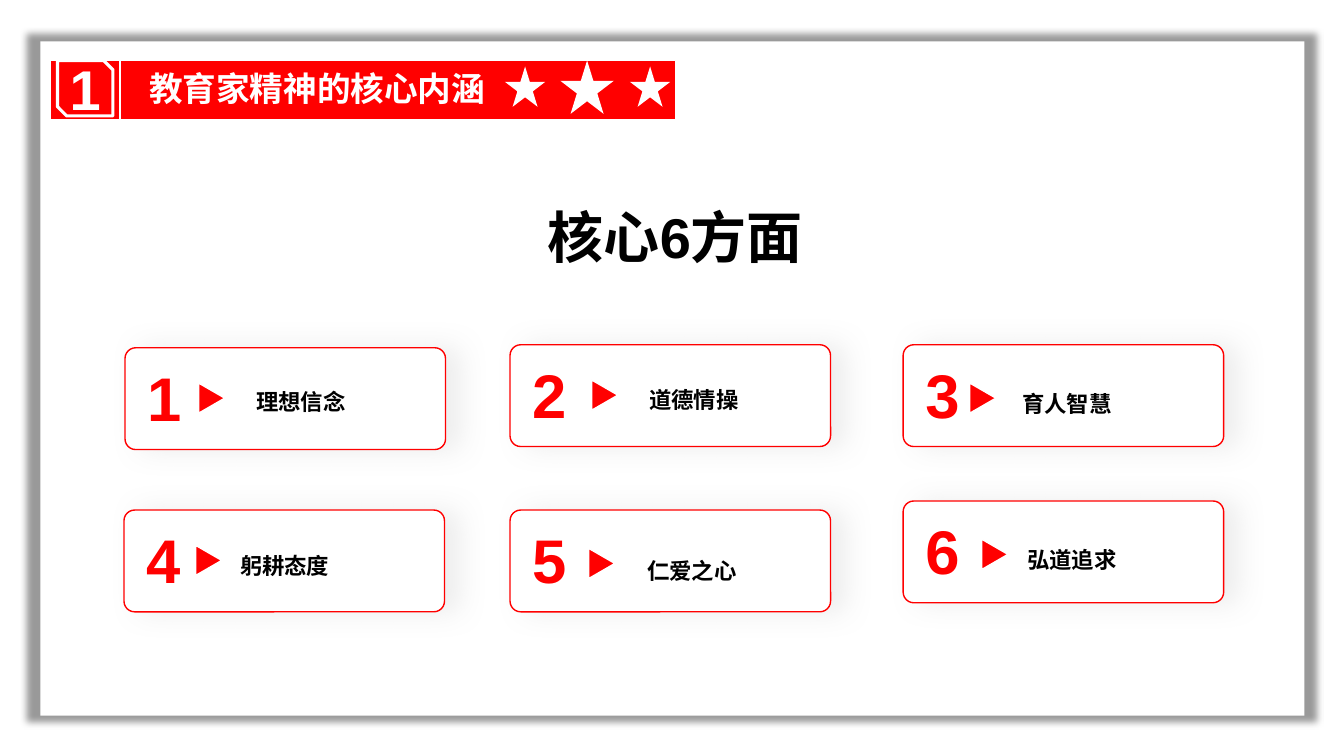
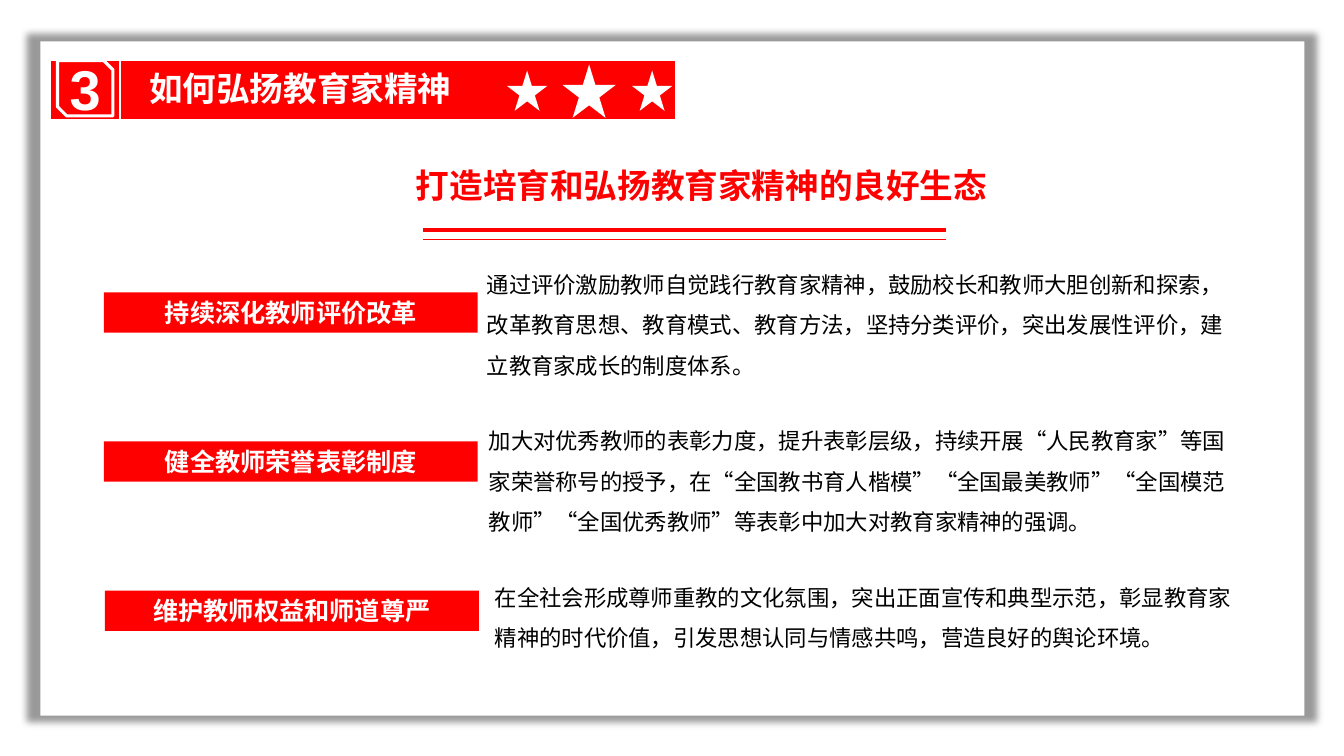
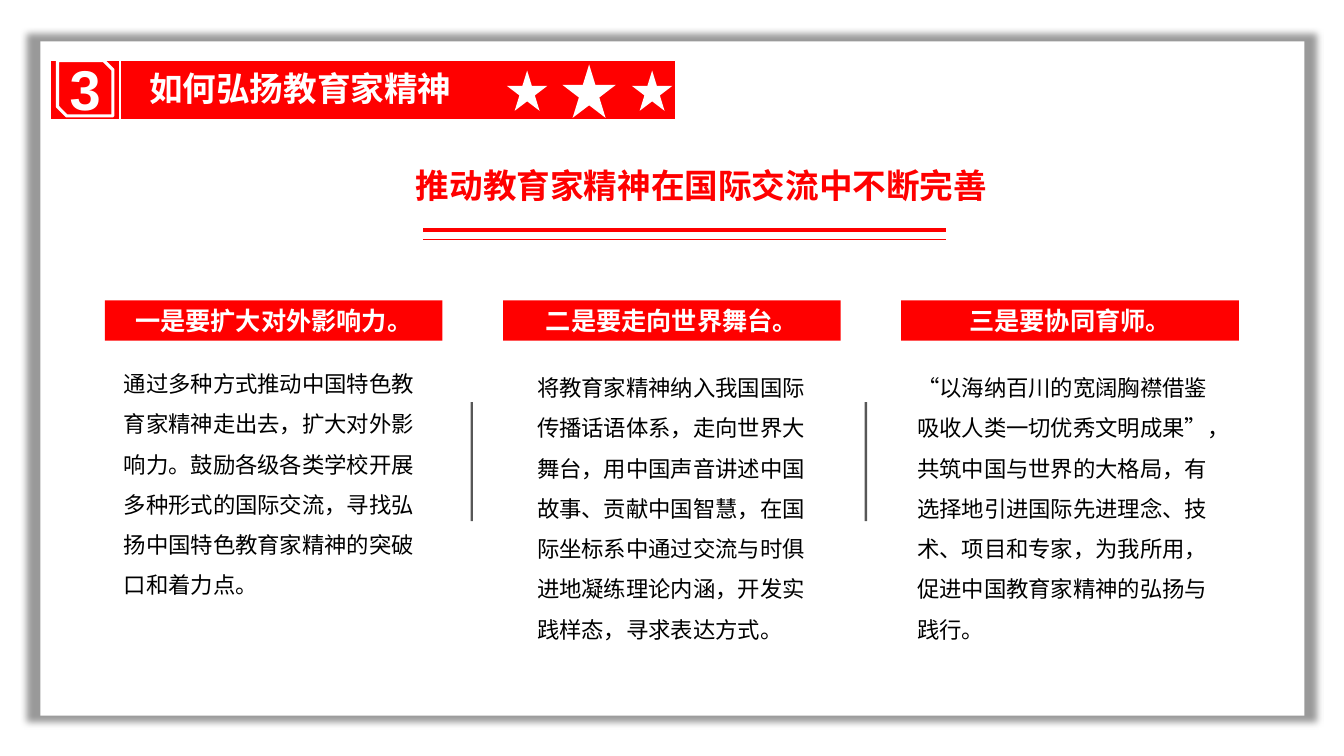
from lxml.etree import SubElement
from pptx import Presentation
from pptx.dml.color import RGBColor
from pptx.enum.lang import MSO_LANGUAGE_ID as Lang
from pptx.enum.shapes import MSO_CONNECTOR as Connector, MSO_SHAPE as Shape
from pptx.enum.text import MSO_ANCHOR as Anchor, MSO_AUTO_SIZE as AutoSize, PP_ALIGN as Align
from pptx.oxml.ns import qn
from pptx.util import Emu, Inches, Pt

RED, WHITE, BLACK, GREY = "FF0000", "FFFFFF", "000000", "A6A6A6"
FONT = "Arial"
BAND_TOP, BAND_HEIGHT = 0.6, 0.59
LABEL_HEIGHT = 0.4

# Slide 1 grid: card columns and rows
CARD_COLUMNS = (1.24, 5.06, 8.96)
CARD_ROWS = (3.42, 5.06)
CARD_WIDTH, CARD_HEIGHT = 3.18, 1.01

# Column, row, card shift, arrow offset in the card, label offset in the card
CARDS = [
    ("理想信念", 0, 0, (0, 0.03), (0.71, 0.37), (0.63, 0.22)),
    ("道德情操", 1, 0, (0, 0), (0.79, 0.37), (0.71, 0.23)),
    ("育人智慧", 2, 0, (0, 0), (0.64, 0.4), (0.51, 0.27)),
    ("躬耕态度", 0, 1, (-0.01, 0), (0.69, 0.37), (0.48, 0.24)),
    ("仁爱之心", 1, 1, (0, 0), (0.76, 0.4), (0.69, 0.29)),
    ("弘道追求", 2, 1, (0, -0.09), (0.76, 0.4), (0.56, 0.27)),
]

# Label, its left and top, passage, the box of the passage
MEASURES = [
    ("持续深化教师评价改革", 1.03, 2.9,
     "通过评价激励教师自觉践行教育家精神，鼓励校长和教师大胆创新和探索，改革教育思想、教育模式、"
     "教育方法，坚持分类评价，突出发展性评价，建立教育家成长的制度体系。",
     (4.73, 2.51, 7.55, 1.26)),
    ("健全教师荣誉表彰制度", 1.03, 4.38,
     "加大对优秀教师的表彰力度，提升表彰层级，持续开展“人民教育家”等国家荣誉称号的授予，"
     "在“全国教书育人楷模”“全国最美教师”“全国模范教师”“全国优秀教师”等表彰中加大对教育家精神的强调。",
     (4.75, 4.06, 7.55, 1.26)),
    ("维护教师权益和师道尊严", 1.04, 5.86,
     "在全社会形成尊师重教的文化氛围，突出正面宣传和典型示范，彰显教育家精神的时代价值，"
     "引发思想认同与情感共鸣，营造良好的舆论环境。",
     (4.81, 5.61, 7.55, 0.86)),
]

DIRECTIONS = [
    ("一是要扩大对外影响力。",
     "通过多种方式推动中国特色教育家精神走出去，扩大对外影响力。鼓励各级各类学校开展多种形式的"
     "国际交流，寻找弘扬中国特色教育家精神的突破口和着力点。",
     (1.13, 3.49, 3.14, 2.48)),
    ("二是要走向世界舞台。",
     "将教育家精神纳入我国国际传播话语体系，走向世界大舞台，用中国声音讲述中国故事、贡献中国智慧，"
     "在国际坐标系中通过交流与时俱进地凝练理论内涵，开发实践样态，寻求表达方式。",
     (5.23, 3.53, 2.96, 2.88)),
    ("三是要协同育师。",
     "“以海纳百川的宽阔胸襟借鉴吸收人类一切优秀文明成果”，共筑中国与世界的大格局，有选择地引进"
     "国际先进理念、技术、项目和专家，为我所用，促进中国教育家精神的弘扬与践行。",
     (9, 3.53, 3.14, 2.88)),
]


def rgb(code):
    return RGBColor.from_string(code)


def write(holder, text, size=16, color=BLACK, bold=False, align=Align.LEFT,
          spacing=None, anchor=Anchor.TOP, inset=True, fit=AutoSize.SHAPE_TO_FIT_TEXT):
    """Put one formatted paragraph into a shape, text box or placeholder."""
    frame = holder.text_frame
    frame.word_wrap = True
    frame.auto_size = fit
    frame.vertical_anchor = anchor
    if not inset:
        frame.margin_left = frame.margin_right = frame.margin_top = frame.margin_bottom = 0
    paragraph = frame.paragraphs[0]
    paragraph.alignment = align
    if spacing:
        paragraph.line_spacing = spacing
    run = paragraph.add_run()
    run.text = text
    font = run.font
    font.name, font.size, font.bold = FONT, Pt(size), bold
    font.color.rgb = rgb(color)
    font.language_id = Lang.SIMPLIFIED_CHINESE


def text_box(slide, box, text, **style):
    write(slide.shapes.add_textbox(*map(Inches, box)), text, **style)


def block(slide, kind, box, fill, line=None, weight=1):
    """Add a preset shape without a shadow."""
    shape = slide.shapes.add_shape(kind, *map(Inches, box))
    shape.shadow.inherit = False
    shape.fill.solid()
    shape.fill.fore_color.rgb = rgb(fill)
    if line:
        shape.line.color.rgb = rgb(line)
        shape.line.width = Pt(weight)
    else:
        shape.line.fill.background()
    return shape


def add_alpha(color_element, percent):
    SubElement(color_element, qn("a:alpha"), val=str(percent * 1000))


def cast_shadow(shape, color, opacity, blur, distance=0, scale=100):
    effects = shape._element.spPr.find(qn("a:effectLst"))
    shadow = SubElement(effects, qn("a:outerShdw"), blurRad=str(Pt(blur)), dist=str(Pt(distance)),
                        dir="0", sx=str(scale * 1000), sy=str(scale * 1000),
                        algn="ctr", rotWithShape="0")
    add_alpha(SubElement(shadow, qn("a:srgbClr"), val=color), opacity)


def rule(slide, start, end, color, weight, opacity=None):
    line = slide.shapes.add_connector(Connector.STRAIGHT, *map(Inches, start + end))
    line.line.color.rgb = rgb(color)
    line.line.width = Pt(weight)
    if opacity:
        add_alpha(line._element.spPr.find(".//" + qn("a:srgbClr")), opacity)
    SubElement(line._element.spPr, qn("a:effectLst"))


def red_label(slide, left, top, width, text):
    label = block(slide, Shape.RECTANGLE, (left, top, width, LABEL_HEIGHT), RED)
    write(label, text, size=18, color=WHITE, bold=True, align=Align.CENTER)


def section_slide(deck, number, title, star_shift=(0, 0)):
    """Start a slide with the white panel, numbered band, title and stars."""
    slide = deck.slides.add_slide(deck.slide_layouts[5])
    panel = block(slide, Shape.RECTANGLE, (0.4, 0.41, 12.54, 6.69), WHITE)
    cast_shadow(panel, BLACK, 40, 5, scale=102)

    # Band with its number
    for left in (0.5, 1.19):
        block(slide, Shape.RECTANGLE, (left, BAND_TOP, 6.7 - left, BAND_HEIGHT), RED, WHITE)
    badge = block(slide, Shape.SNIP_2_DIAG_RECTANGLE, (0.57, BAND_TOP, 0.55, 0.55), RED, WHITE, 2.25)
    write(badge, number, size=40, color=WHITE, bold=True, align=Align.CENTER,
          anchor=Anchor.MIDDLE, inset=False, fit=AutoSize.NONE)

    # Title, brought in front of the band
    heading = slide.shapes.title
    heading.left, heading.top, heading.width, heading.height = map(Inches, (1.48, 0.67, 4.65, 0.4))
    write(heading, title, size=24, color=WHITE, bold=True,
          anchor=Anchor.MIDDLE, inset=False, fit=AutoSize.NONE)
    slide.shapes._spTree.append(heading._element)

    # Stars
    shift_x, shift_y = star_shift
    for left, top, size in ((5.01, 0.66, 0.4), (5.56, 0.6, 0.53), (6.25, 0.66, 0.4)):
        block(slide, Shape.STAR_5_POINT, (left + shift_x, top + shift_y, size, size), WHITE)
    return slide


def promotion_slide(deck, topic):
    """Section 3 slide with an underlined topic."""
    slide = section_slide(deck, "3", "如何弘扬教育家精神", star_shift=(0.02, 0.04))
    text_box(slide, (3.26, 1.59, 7.4, 0.5), topic, size=24, color=RED, bold=True, align=Align.CENTER)
    for height, weight in ((2.28, 3), (2.37, 0.5)):
        rule(slide, (4.2, height), (9.39, height), RED, weight)
    return slide


def aspect_card(slide, number, text, column, row, shift, arrow, label):
    left = CARD_COLUMNS[column] + shift[0]
    top = CARD_ROWS[row] + shift[1]
    card = block(slide, Shape.ROUNDED_RECTANGLE, (left, top, CARD_WIDTH, CARD_HEIGHT), WHITE, RED)
    card.adjustments[0] = 0.105
    cast_shadow(card, GREY, 20, 20, distance=10)
    text_box(slide, (left + label[0], top + label[1], 2.23, 0.46), text,
             bold=True, align=Align.CENTER, spacing=1.5)
    text_box(slide, (left + 0.07, top + 0.07, 0.64, 0.84), str(number),
             size=44, color=RED, bold=True, align=Align.CENTER)
    pointer = block(slide, Shape.ISOSCELES_TRIANGLE,
                    (left + arrow[0], top + arrow[1], 0.3, 0.26), RED, WHITE)
    pointer.rotation = 90


def aspects(deck):
    slide = section_slide(deck, "1", "教育家精神的核心内涵")
    text_box(slide, (2.27, 1.96, 8.86, 0.77), "核心6方面", size=40, bold=True, align=Align.CENTER)
    for number, card in enumerate(CARDS, 1):
        aspect_card(slide, number, *card)


def measures(deck):
    slide = promotion_slide(deck, "打造培育和弘扬教育家精神的良好生态")
    for label, left, top, passage, box in MEASURES:
        red_label(slide, left, top, 3.71, label)
        text_box(slide, box, passage, spacing=1.5)


def directions(deck):
    slide = promotion_slide(deck, "推动教育家精神在国际交流中不断完善")
    for column, (label, passage, box) in enumerate(DIRECTIONS):
        red_label(slide, 1.04 + 3.95 * column, 2.98, 3.35, label)
        text_box(slide, box, passage, spacing=1.5)
    # Dividers between the columns
    for x in (4.68, 8.59):
        rule(slide, (x, 3.99), (x, 5.17), BLACK, 1.75, opacity=66)


def main():
    deck = Presentation()
    deck.slide_width, deck.slide_height = Emu(12192000), Inches(7.5)
    aspects(deck)
    measures(deck)
    directions(deck)
    deck.save("out.pptx")


if __name__ == "__main__":
    main()
